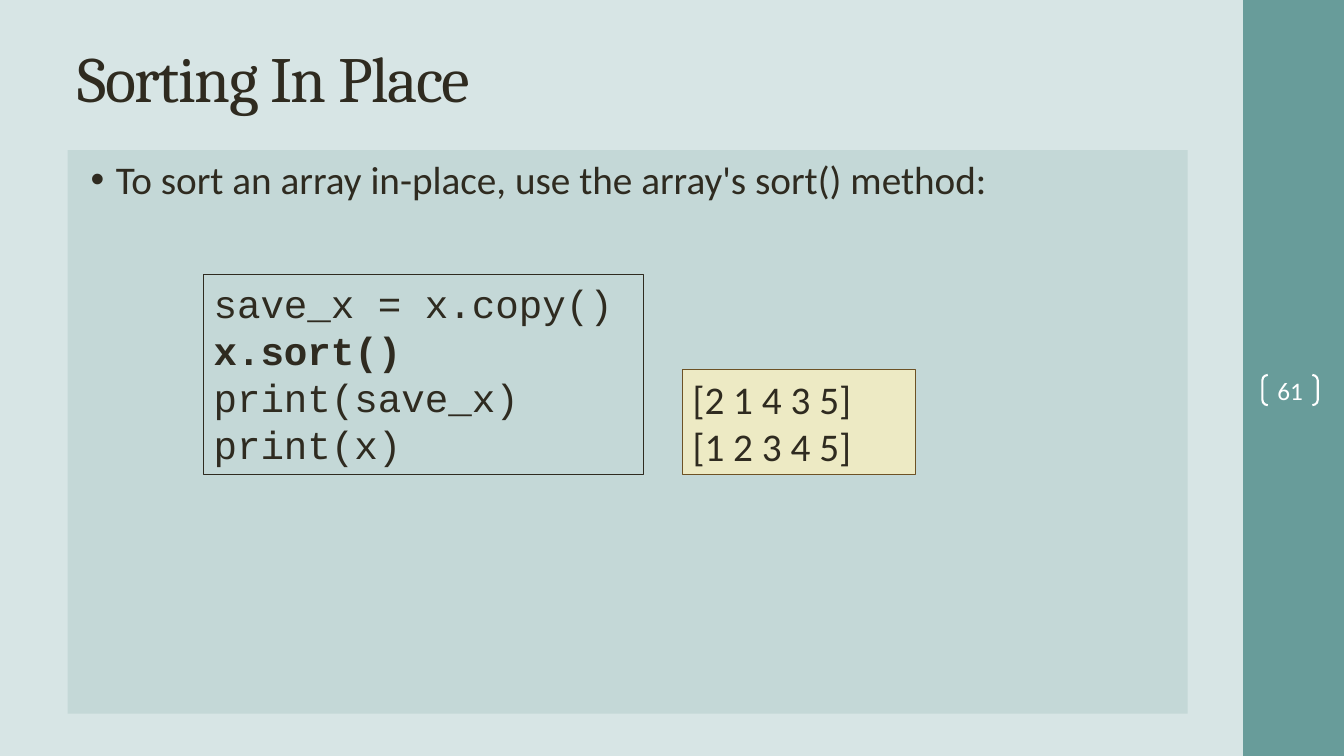
from lxml import etree
from pptx import Presentation
from pptx.dml.color import RGBColor
from pptx.enum.shapes import MSO_SHAPE
from pptx.enum.text import MSO_ANCHOR, PP_ALIGN
from pptx.oxml.ns import qn
from pptx.util import Inches, Pt

RECT, BRACKETS = MSO_SHAPE.RECTANGLE, MSO_SHAPE.DOUBLE_BRACKET
TOP, MIDDLE = MSO_ANCHOR.TOP, MSO_ANCHOR.MIDDLE
LEFT, CENTER = PP_ALIGN.LEFT, PP_ALIGN.CENTER

COLORS = {
    "background": "D7E5E5",
    "sidebar": "689C9A",
    "panel": "C4D8D7",
    "output": "EDEAC4",
    "output_line": "6D5225",
    "ink": "2F2B20",
    "white": "FFFFFF",
}


def rgb(name):
    return RGBColor.from_string(COLORS[name])


def add_box(slide, bounds, fill=None, line=None, width=0.75, kind=RECT):
    box = slide.shapes.add_shape(kind, *(Inches(value) for value in bounds))
    box.shadow.inherit = False
    if fill:
        box.fill.solid()
        box.fill.fore_color.rgb = rgb(fill)
    else:
        box.fill.background()
    if line:
        box.line.color.rgb = rgb(line)
        box.line.width = Pt(width)
    else:
        box.line.fill.background()
    return box


def write_lines(box, lines, font, size, color="ink", anchor=TOP, align=LEFT, bold_lines=()):
    """Write one paragraph per line and return the runs."""
    frame = box.text_frame
    frame.word_wrap = True
    frame.vertical_anchor = anchor
    runs = []
    for index, line in enumerate(lines):
        paragraph = frame.paragraphs[0] if index == 0 else frame.add_paragraph()
        paragraph.alignment = align
        run = paragraph.add_run()
        run.text = line
        run.font.name = font
        run.font.size = Pt(size)
        run.font.bold = line in bold_lines
        run.font.color.rgb = rgb(color)
        runs.append(run)
    return runs


def add_bullet(paragraph, margin, indent):
    properties = paragraph._p.get_or_add_pPr()
    properties.set("marL", str(Inches(margin)))
    properties.set("indent", str(Inches(indent)))
    bullet_color = etree.SubElement(properties, qn("a:buClr"))
    etree.SubElement(bullet_color, qn("a:srgbClr"), val=COLORS["ink"])
    etree.SubElement(properties, qn("a:buFont"), typeface="Arial")
    etree.SubElement(properties, qn("a:buChar"), char="•")


def add_title(slide, text):
    title = slide.shapes.add_textbox(Inches(0.67), Inches(0.3), Inches(11.11), Inches(0.92))
    run = write_lines(title, [text], "Cambria", 46, anchor=MIDDLE)[0]
    run.font._element.set("spc", "-100")


def add_page_number(slide, number):
    brackets = add_box(slide, (12.52, 3.72, 0.55, 0.3), line="white", width=1.5, kind=BRACKETS)
    brackets.adjustments[0] = 0.18
    frame = brackets.text_frame
    frame.margin_left = frame.margin_right = frame.margin_top = frame.margin_bottom = 0
    write_lines(brackets, [number], "Calibri", 18, "white", MIDDLE, CENTER)


def main():
    presentation = Presentation()
    presentation.slide_width = Inches(13.33)
    presentation.slide_height = Inches(7.5)
    slide = presentation.slides.add_slide(presentation.slide_layouts[6])
    slide.background.fill.solid()
    slide.background.fill.fore_color.rgb = rgb("background")

    add_box(slide, (12.33, 0, 1, 7.5), "sidebar")
    add_title(slide, "Sorting In Place")

    panel = add_box(slide, (0.67, 1.49, 11.11, 5.59), "panel")
    add_bullet(panel.text_frame.paragraphs[0], 0.38, -0.25)
    write_lines(panel, ["To sort an array in-place, use the array's sort() method:"], "Calibri", 28)

    add_page_number(slide, "61")

    code = add_box(slide, (2.02, 2.72, 4.36, 1.99), line="ink")
    code_lines = ["save_x = x.copy()", "x.sort()", "print(save_x)", "print(x)"]
    write_lines(code, code_lines, "Courier New", 28, bold_lines=["x.sort()"])

    output = add_box(slide, (6.77, 3.67, 2.31, 1.04), "output", "output_line")
    write_lines(output, ["[2 1 4 3 5]", "[1 2 3 4 5]"], "Calibri", 28)

    presentation.save("out.pptx")


if __name__ == "__main__":
    main()
